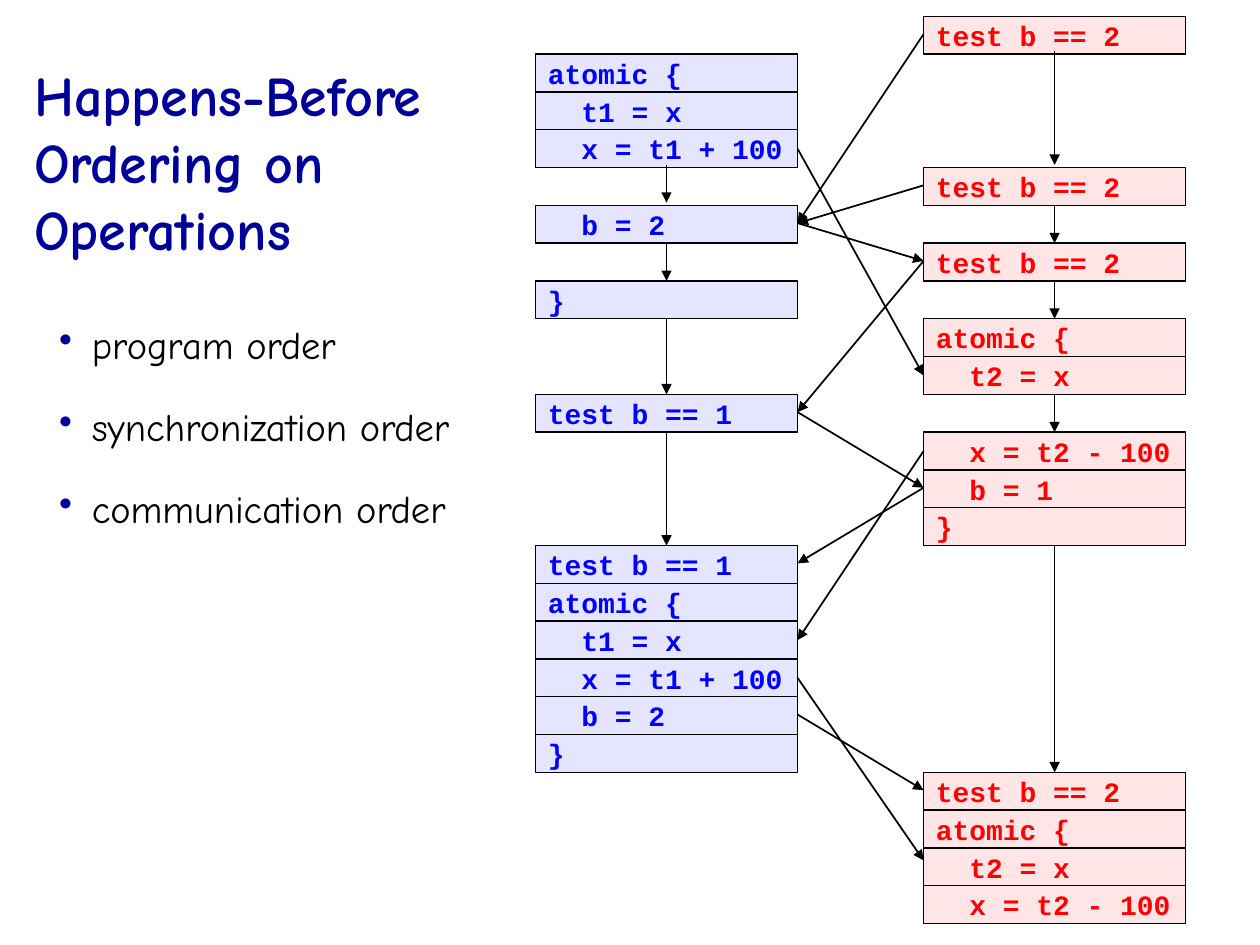
from lxml.etree import SubElement
from pptx import Presentation
from pptx.dml.color import RGBColor
from pptx.enum.shapes import MSO_CONNECTOR, MSO_SHAPE
from pptx.enum.text import MSO_ANCHOR, MSO_AUTO_SIZE, PP_ALIGN
from pptx.oxml.ns import qn
from pptx.util import Inches, Pt

NAVY = RGBColor(0x00, 0x00, 0x99)
BLUE = RGBColor(0x00, 0x00, 0xFF)
RED = RGBColor(0xFF, 0x00, 0x00)
BLACK = RGBColor(0x00, 0x00, 0x00)

TITLE_FORMAT = {"name": "Comic Neue", "size": Pt(32), "bold": True}
BULLET_FORMAT = {"name": "Comic Neue", "size": Pt(22), "bold": False}
CODE_FORMAT = {"name": "Courier New", "size": Pt(16), "bold": True}

# Two thread columns share one grid of equal rows.
GRID_TOP, ROW = 0.13, 0.3
COLUMN_WIDTH = 2.08
LEFT_THREAD, RIGHT_THREAD = 4.25, 7.33
LEFT_EDGE, RIGHT_EDGE = LEFT_THREAD + COLUMN_WIDTH, RIGHT_THREAD

# Each thread: column, colour, {first row: lines of the block}, program order arrows
THREADS = [
    (LEFT_THREAD, BLUE,
     {1: ["atomic {", "  t1 = x", "  x = t1 + 100"],
      5: ["  b = 2"],
      7: ["}"],
      10: ["test b == 1"],
      14: ["test b == 1", "atomic {", "  t1 = x", "  x = t1 + 100", "  b = 2", "}"]},
     [(3.93, 4.93), (6, 7), (8, 10), (11, 14)]),
    (RIGHT_THREAD, RED,
     {0: ["test b == 2"],
      4: ["test b == 2"],
      6: ["test b == 2"],
      8: ["atomic {", "  t2 = x"],
      11: ["  x = t2 - 100", "  b = 1", "}"],
      20: ["test b == 2", "atomic {", "  t2 = x", "  x = t2 - 100"]},
     [(0.93, 3.93), (5, 6), (7, 8), (10, 11), (14, 20)]),
]

# Arrows between threads as (left row, right row), by direction and offset in the row
CROSS_ARROWS = [
    (True, 0.47, [(5, 6), (18, 20), (10, 12)]),
    (False, 0.47, [(14, 12), (5, 0), (5, 4), (10, 6)]),
    (True, 0.5, [(3, 9), (17, 21.83)]),
    (False, 0.5, [(16, 11)]),
]


def format_text(paragraph, text, color, values):
    paragraph.text = text
    paragraph.alignment = PP_ALIGN.LEFT
    for attribute, value in values.items():
        setattr(paragraph.font, attribute, value)
    paragraph.font.color.rgb = color


def add_arrow(start_x, start_row, end_x, end_row):
    """Draw an arrow between two points given as inches across and grid rows down."""
    connector = slide.shapes.add_connector(
        MSO_CONNECTOR.STRAIGHT,
        Inches(start_x), Inches(GRID_TOP + start_row * ROW),
        Inches(end_x), Inches(GRID_TOP + end_row * ROW))
    connector.line.color.rgb = BLACK
    connector.line.width = Pt(1)
    SubElement(connector.line._get_or_add_ln(), qn("a:tailEnd"), type="triangle")
    SubElement(connector._element.spPr, qn("a:effectLst"))


presentation = Presentation()
presentation.slide_width, presentation.slide_height = Inches(10), Inches(7.5)
slide = presentation.slides.add_slide(presentation.slide_layouts[5])

title = slide.shapes.title
title.left, title.top, title.width, title.height = map(Inches, (0.17, 0.43, 9.5, 1.7))
title_frame = title.text_frame
title_frame.auto_size = MSO_AUTO_SIZE.NONE
title_frame.vertical_anchor = MSO_ANCHOR.MIDDLE
for index, text in enumerate(["Happens-Before", "Ordering on", "Operations"]):
    paragraph = title_frame.add_paragraph() if index else title_frame.paragraphs[0]
    format_text(paragraph, text, NAVY, TITLE_FORMAT)

# Operations of both threads
for left, color, blocks, _ in THREADS:
    for first_row, lines in blocks.items():
        for row, code in enumerate(lines, first_row):
            shape = slide.shapes.add_shape(
                MSO_SHAPE.RECTANGLE, Inches(left), Inches(GRID_TOP + row * ROW),
                Inches(COLUMN_WIDTH), Inches(ROW))
            shape.shadow.inherit = False
            shape.fill.solid()
            shape.fill.fore_color.rgb = color
            fill_color = shape._element.spPr.find(qn("a:solidFill")).find(qn("a:srgbClr"))
            SubElement(fill_color, qn("a:alpha"), val="10000")
            shape.line.color.rgb = BLACK
            shape.line.width = Pt(0.75)
            shape.text_frame.word_wrap = False
            shape.text_frame.vertical_anchor = MSO_ANCHOR.MIDDLE
            format_text(shape.text_frame.paragraphs[0], code, color, CODE_FORMAT)

# Program order, down the middle of each column
for left, _, _, arrows in THREADS:
    middle = left + COLUMN_WIDTH / 2
    for start_row, end_row in arrows:
        add_arrow(middle, start_row, middle, end_row)

# Synchronization and communication order, between the columns
for rightward, offset, arrows in CROSS_ARROWS:
    for left_row, right_row in arrows:
        left_end = (LEFT_EDGE, left_row + offset)
        right_end = (RIGHT_EDGE, right_row + offset)
        if rightward:
            add_arrow(*left_end, *right_end)
        else:
            add_arrow(*right_end, *left_end)

for index, text in enumerate(["program order", "synchronization order", "communication order"]):
    text_box = slide.shapes.add_textbox(
        Inches(0.37), Inches(2.5 + 0.65 * index), Inches(3.69), Inches(0.6))
    text_box.text_frame.word_wrap = True
    paragraph = text_box.text_frame.paragraphs[0]
    properties = paragraph._p.get_or_add_pPr()
    properties.set("marL", str(Inches(0.26)))
    properties.set("indent", str(-Inches(0.26)))
    bullet_color = SubElement(properties, qn("a:buClr"))
    SubElement(bullet_color, qn("a:srgbClr"), val=str(NAVY))
    SubElement(properties, qn("a:buChar"), char="•")
    format_text(paragraph, text, BLACK, BULLET_FORMAT)

presentation.save("out.pptx")
